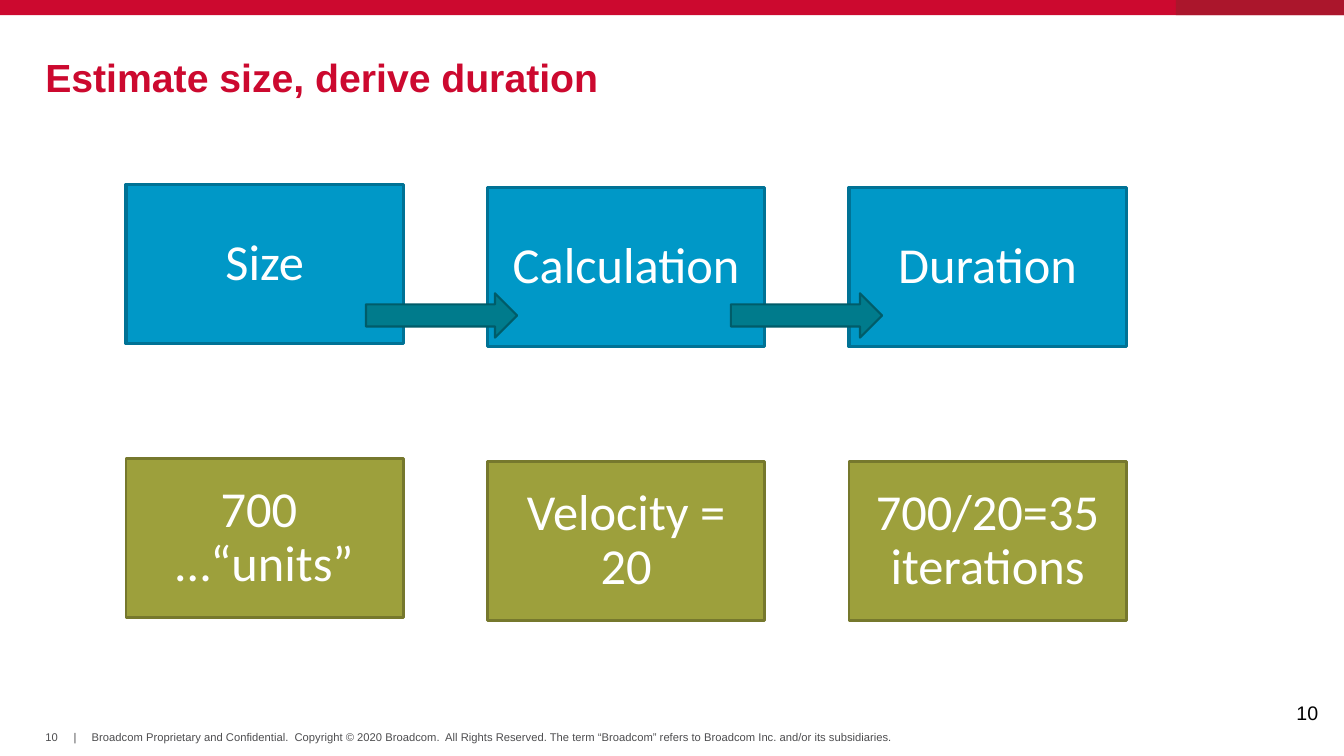
from pptx import Presentation
from pptx.dml.color import RGBColor
from pptx.enum.shapes import MSO_SHAPE
from pptx.enum.text import MSO_ANCHOR, PP_ALIGN
from pptx.util import Inches, Pt

RECT, ARROW = MSO_SHAPE.RECTANGLE, MSO_SHAPE.RIGHT_ARROW
TOP, MIDDLE = MSO_ANCHOR.TOP, MSO_ANCHOR.MIDDLE
LEFT, CENTER = PP_ALIGN.LEFT, PP_ALIGN.CENTER

WIDTH, HEIGHT = 13.33, 7.5
MARGIN = 0.45
BAR_H = HEIGHT * 0.02
BOX_W, BOX_H = 2.75, 1.58
COL_X, COL_STEP = 1.25, 3.585
FIRST_LIFT = 0.03  # the first column sits slightly higher
RED, DARK_RED, GREY, WHITE = "CC092F", "AB162C", "4D4D4F", "FFFFFF"

FOOTER = {"size": Pt(8), "name": "Arial"}
TITLE = {"size": Pt(28), "name": "Arial", "bold": True}
PAGE = {"size": Pt(14), "name": "Arial"}
BOX = {"size": Pt(36), "name": "Calibri"}

ROWS = [
    # top, fill, line colour, line width, texts
    (1.86, "0098C7", "007295", 2.25, ["Size", "Calculation", "Duration"]),
    (4.58, "9DA03C", "76782D", 2,
     ["700 \n…“units”", "Velocity = 20", "700/20=35 iterations"]),
]
FOOTER_TEXT = (
    "Broadcom Proprietary and Confidential.  Copyright © 2020 Broadcom.  "
    "All Rights Reserved. The term “Broadcom” refers to Broadcom Inc. "
    "and/or its subsidiaries."
)


def rgb(color):
    return RGBColor.from_string(color)


def write(tf, text, font, color, align=LEFT, spacing=1.0, anchor=MIDDLE):
    """Put one paragraph per line of text into the frame."""
    tf.vertical_anchor = anchor
    for i, line in enumerate(text.split("\n")):
        p = tf.paragraphs[0] if i == 0 else tf.add_paragraph()
        p.alignment, p.line_spacing = align, spacing
        r = p.add_run()
        r.text = line
        r.font.color.rgb = rgb(color)
        for key, value in font.items():
            setattr(r.font, key, value)


def add_label(s, at, text, font, color, inset=True, wrap=True, **layout):
    tf = s.shapes.add_textbox(*map(Inches, at)).text_frame
    tf.word_wrap = wrap
    if not inset:
        for side in ("left", "top", "right", "bottom"):
            setattr(tf, f"margin_{side}", 0)
    write(tf, text, font, color, **layout)


def add_block(s, kind, at, fill, line=None, line_width=0):
    sp = s.shapes.add_shape(kind, *map(Inches, at))
    sp.shadow.inherit = False
    sp.fill.solid()
    sp.fill.fore_color.rgb = rgb(fill)
    if line:
        sp.line.color.rgb = rgb(line)
        sp.line.width = Pt(line_width)
    else:
        sp.line.fill.background()
    return sp


def add_frame(s):
    """Top bar, title, footer and page number."""
    add_block(s, RECT, (0, 0, WIDTH, BAR_H), RED)
    accent = WIDTH / 8
    add_block(s, RECT, (WIDTH - accent, 0, accent, BAR_H), DARK_RED)
    add_label(s, (MARGIN, 0.6, WIDTH - 2 * MARGIN, 0.4),
              "Estimate size, derive duration", TITLE, RED,
              inset=False, spacing=0.85)
    for x, width, text, anchor in [(MARGIN, 0.14, "10", MIDDLE),
                                   (0.73, 0.03, "|", MIDDLE),
                                   (0.91, 8.01, FOOTER_TEXT, TOP)]:
        add_label(s, (x, 7.25, width, 0.13), text, FOOTER, GREY,
                  inset=False, wrap=False, anchor=anchor)
    add_label(s, (12.76, 6.9, 0.57, 0.4), "10", PAGE, "000000", anchor=TOP)


def add_row(s, top, fill, line, line_width, texts):
    for col, text in enumerate(texts):
        y = top if col else top - FIRST_LIFT
        sp = add_block(s, RECT, (COL_X + col * COL_STEP, y, BOX_W, BOX_H),
                       fill, line, line_width)
        sp.text_frame.word_wrap = True
        write(sp.text_frame, text, BOX, WHITE, CENTER, 0.9)


def main():
    prs = Presentation()
    prs.slide_width, prs.slide_height = Inches(WIDTH), Inches(HEIGHT)
    s = prs.slides.add_slide(prs.slide_layouts[6])
    add_frame(s)
    for row in ROWS:
        add_row(s, *row)
    for x in (3.63, 7.25):
        add_block(s, ARROW, (x, 2.91, 1.5, 0.44), "007B8C", "005C69", 1.5)
    prs.save("out.pptx")


if __name__ == "__main__":
    main()
